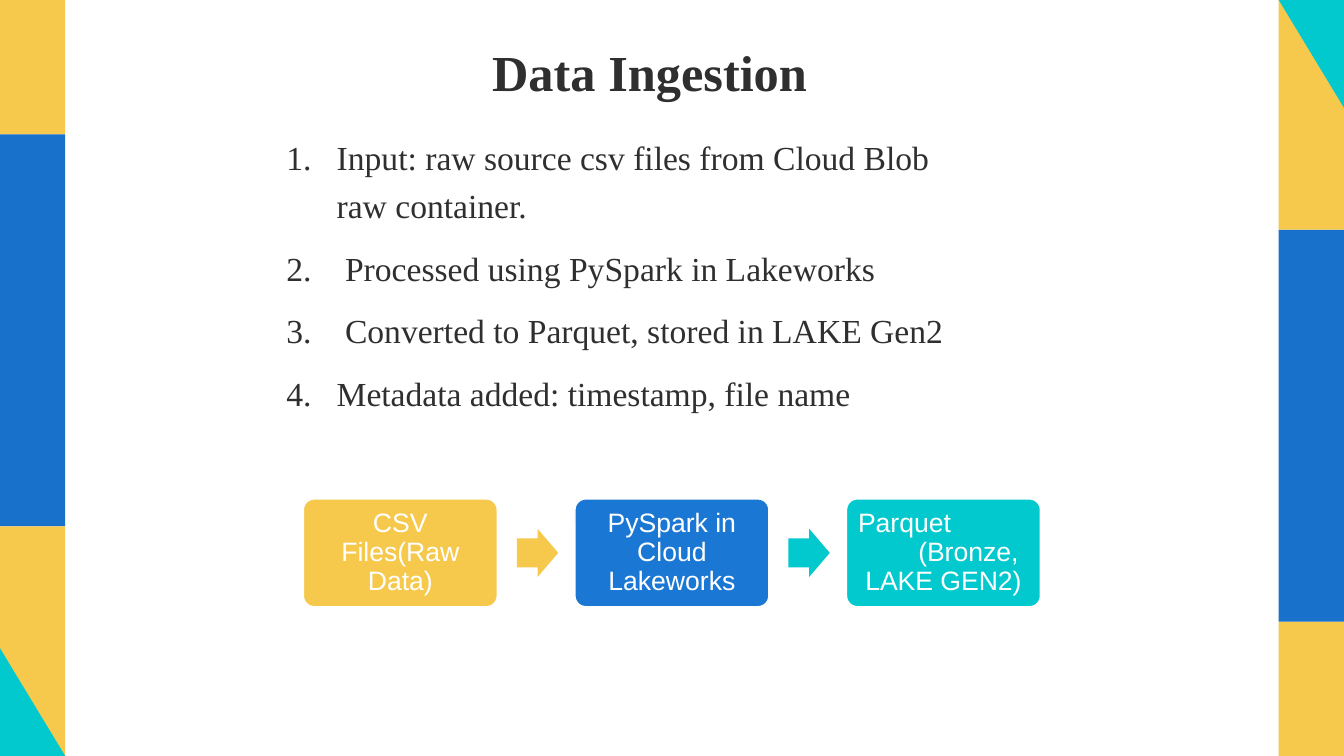
from collections import namedtuple
from dataclasses import dataclass

from lxml import etree
from pptx import Presentation
from pptx.dml.color import RGBColor
from pptx.enum import shapes, text
from pptx.oxml import ns
from pptx.util import Pt

Box = namedtuple("Box", "left top width height")
Step = namedtuple("Step", "lines fill")
Line = namedtuple("Line", "words align indent")


@dataclass(frozen=True)
class Theme:
    yellow: str = "F6C94C"
    band_blue: str = "1871CA"
    step_blue: str = "1A77D4"
    teal: str = "02C9CE"
    white: str = "FFFFFF"
    ink: str = "2F2F2F"
    serif: str = "Times New Roman"
    sans: str = "Arial"
    title_size: int = 36
    body_size: int = 24
    step_size: int = 19


THEME = Theme()
ALIGN = text.PP_ALIGN
SHAPE = shapes.MSO_SHAPE

POINTS = [
    "Input: raw source csv files from Cloud Blob raw container.",
    " Processed using PySpark in Lakeworks",
    " Converted to Parquet, stored in LAKE Gen2",
    "Metadata added: timestamp, file name",
]
STEPS = [
    Step([Line("CSV Files(Raw Data)", ALIGN.CENTER, 0)], THEME.yellow),
    Step([Line("PySpark in Cloud Lakeworks", ALIGN.CENTER, 0)], THEME.step_blue),
    Step([Line("Parquet", ALIGN.LEFT, 0),
          Line("(Bronze,", ALIGN.LEFT, 43),
          Line("LAKE GEN2)", ALIGN.CENTER, 0)], THEME.teal),
]


def paint(shape, color, outline=None):
    shape.shadow.inherit = False
    shape.fill.solid()
    shape.fill.fore_color.rgb = RGBColor.from_string(color)
    if outline:
        shape.line.color.rgb = RGBColor.from_string(outline)
        shape.line.width = Pt(1)
    else:
        shape.line.fill.background()


def set_font(para, name, size, color, bold=False):
    para.font.name = name
    para.font.size = Pt(size)
    para.font.bold = bold
    para.font.color.rgb = RGBColor.from_string(color)


def place(shape, box):
    shape.left, shape.top, shape.width, shape.height = map(Pt, box)


def set_frame(frame, inset, anchor):
    frame.word_wrap = True
    frame.auto_size = text.MSO_AUTO_SIZE.NONE
    frame.vertical_anchor = anchor
    frame.margin_left = frame.margin_right = Pt(inset)
    frame.margin_top = frame.margin_bottom = Pt(inset)


def add_side(page, box, turned=False):
    """Bands with a corner triangle; turned rotates the side by half a turn."""
    def spot(x, y):
        if turned:
            x, y = box.width - x, box.height - y
        return Pt(box.left + x), Pt(box.top + y)

    bands = [(0, 96, THEME.yellow), (96, 376, THEME.band_blue),
             (376, box.height, THEME.yellow)]
    for start, end, color in bands:
        top = box.height - end if turned else start
        band = page.shapes.add_shape(
            SHAPE.RECTANGLE, Pt(box.left), Pt(box.top + top),
            Pt(box.width), Pt(end - start))
        paint(band, color)

    outline = page.shapes.build_freeform(*spot(box.width, box.height))
    outline.add_line_segments([spot(0, box.height), spot(0, box.height - 77)])
    paint(outline.convert_to_shape(), THEME.teal)


def add_title(page, box):
    title = page.shapes.title
    place(title, box)
    set_frame(title.text_frame, 0, text.MSO_ANCHOR.BOTTOM)
    title.text_frame.text = "Data Ingestion"
    para = title.text_frame.paragraphs[0]
    para.alignment = ALIGN.CENTER
    set_font(para, THEME.serif, THEME.title_size, THEME.ink, bold=True)


def add_points(page, box):
    body = page.placeholders[1]
    place(body, box)
    set_frame(body.text_frame, 0, text.MSO_ANCHOR.TOP)
    body.text_frame.text = "\n".join(POINTS)
    for para in body.text_frame.paragraphs:
        para.line_spacing = 1.2
        para.space_before = Pt(10)
        # Automatic numbers with a hanging indent
        properties = para._p.get_or_add_pPr()
        properties.set("marL", str(Pt(36)))
        properties.set("indent", str(-Pt(36)))
        etree.SubElement(properties, ns.qn("a:buFontTx"))
        etree.SubElement(properties, ns.qn("a:buAutoNum"), type="arabicPeriod")
        set_font(para, THEME.serif, THEME.body_size, THEME.ink)


def add_flow(page, box):
    step_width, arrow_width, arrow_height = 138.5, 29.5, 34.5
    pitch = (box.width - step_width) / (len(STEPS) - 1)
    for index, step in enumerate(STEPS):
        left = box.left + index * pitch
        card = page.shapes.add_shape(
            SHAPE.ROUNDED_RECTANGLE, Pt(left), Pt(box.top),
            Pt(step_width), Pt(box.height))
        card.adjustments[0] = 0.1
        paint(card, step.fill, THEME.white)
        frame = card.text_frame
        set_frame(frame, 6, text.MSO_ANCHOR.MIDDLE)
        frame.text = "\n".join(line.words for line in step.lines)
        for para, line in zip(frame.paragraphs, step.lines):
            para.alignment = line.align
            para.line_spacing = 0.9
            para._p.get_or_add_pPr().set("marL", str(Pt(line.indent)))
            set_font(para, THEME.sans, THEME.step_size, THEME.white)

        # Arrow leading into this step
        if index:
            arrow_fill = THEME.yellow if index == 1 else step.fill
            arrow = page.shapes.add_shape(
                SHAPE.RIGHT_ARROW, Pt(left - 41.5),
                Pt(box.top + (box.height - arrow_height) / 2),
                Pt(arrow_width), Pt(arrow_height))
            arrow.adjustments[0] = 0.6
            paint(arrow, arrow_fill)


def main():
    deck = Presentation()
    deck.slide_width, deck.slide_height = Pt(960), Pt(540)
    page = deck.slides.add_slide(deck.slide_layouts[1])

    add_side(page, Box(0, 0, 46.6, 540))
    add_side(page, Box(913.4, 0, 46.6, 540), turned=True)
    add_title(page, Box(223, 8.6, 482, 64))
    add_points(page, Box(204.5, 92, 500.5, 224))
    add_flow(page, Box(216.7, 356.4, 526.5, 77))
    deck.save("out.pptx")


if __name__ == "__main__":
    main()
